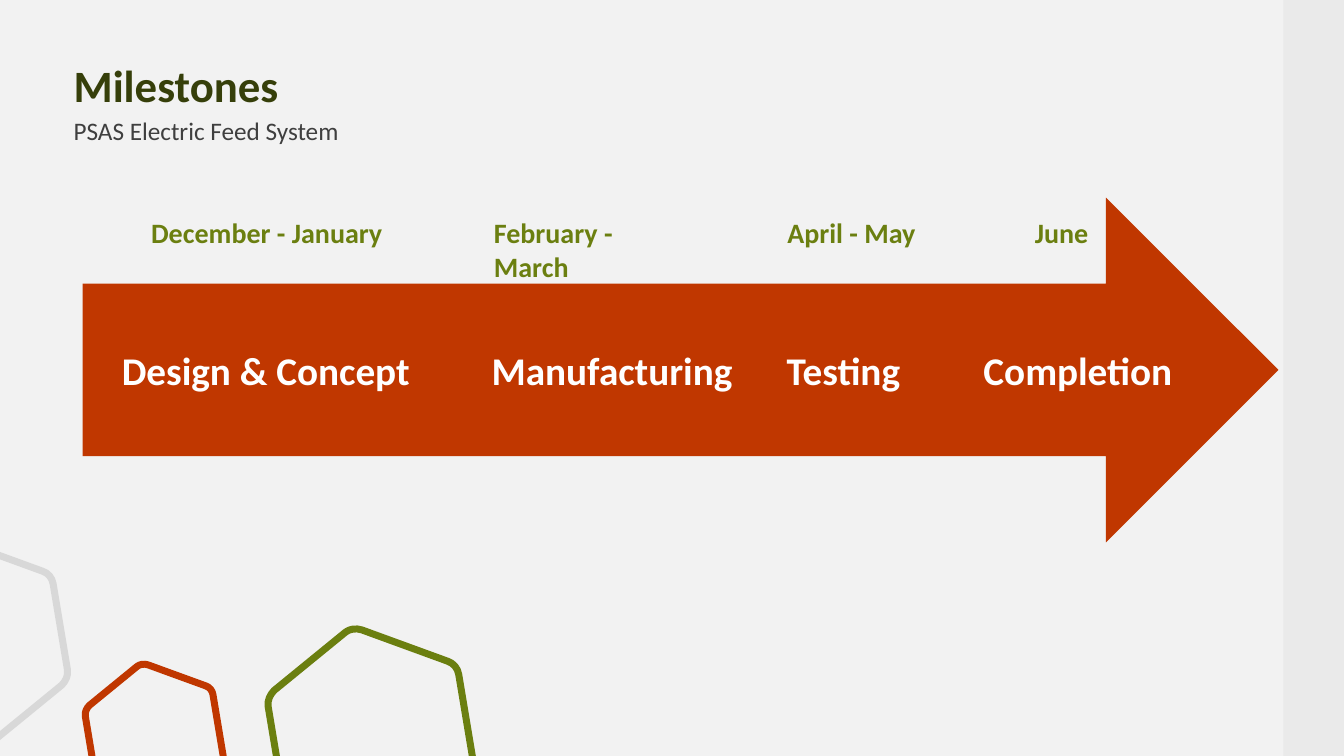
import pptx
import pptx.util
import pptx.dml.color
import pptx.enum.shapes
import pptx.enum.text
import pptx.oxml
import pptx.oxml.ns

Inches = pptx.util.Inches
Pt = pptx.util.Pt
SHAPES = pptx.enum.shapes.MSO_SHAPE
ALIGN = pptx.enum.text.PP_ALIGN
ANCHOR = pptx.enum.text.MSO_ANCHOR

COLORS = {
    "background": "F2F2F2",
    "strip": "EAEAEA",
    "title": "363F0A",
    "subtitle": "3F3F3F",
    "orange": "C03700",
    "green": "6B7F10",
    "gray": "D8D8D8",
    "white": "FFFFFF",
}

PHASES = [
    ("Design & Concept", 0.27, 3.09),
    ("Manufacturing", 3.78, 2.94),
    ("Testing", 6.66, 1.77),
    ("Completion", 8.77, 2.2),
]
MONTHS = [
    ("December - January", 0.58, 2.64, ALIGN.LEFT),
    ("February - March", 3.98, 2.16, ALIGN.LEFT),
    ("April - May", 6.89, 1.69, ALIGN.LEFT),
    ("June", 9.34, 0.74, ALIGN.CENTER),
]
HEXAGONS = [
    (3.68, 7.3, 1, "green"),
    (1.53, 7.3, 0.67, "orange"),
    (-0.3, 6.37, 0.95, "gray"),
]
HALF_CORNERS = [
    (-0.09, -1.05), (-0.15, -1.07), (-0.21, -1.06), (-0.25, -1.03),
    (-0.96, -0.45), (-1, -0.41), (-1.03, -0.35), (-1.02, -0.29),
    (-0.87, 0.61), (-0.86, 0.67), (-0.82, 0.72), (-0.76, 0.74),
]


def color(name):
    return pptx.dml.color.RGBColor.from_string(COLORS[name])


def add_text(page, box, text, size, color_name, bold=True, align=ALIGN.LEFT,
             anchor=ANCHOR.TOP, inset=(0.1, 0.05), spacing=1.0):
    frame = page.shapes.add_textbox(*map(Inches, box)).text_frame
    frame.word_wrap = True
    frame.vertical_anchor = anchor
    frame.margin_left = frame.margin_right = Inches(inset[0])
    frame.margin_top = frame.margin_bottom = Inches(inset[1])
    para = frame.paragraphs[0]
    para.text = text
    para.alignment = align
    para.line_spacing = spacing
    para.font.name = "Calibri"
    para.font.size = Pt(size)
    para.font.bold = bold
    para.font.color.rgb = color(color_name)


def add_filled(page, kind, box, color_name):
    shape = page.shapes.add_shape(kind, *map(Inches, box))
    shape.shadow.inherit = False
    shape.fill.solid()
    shape.fill.fore_color.rgb = color(color_name)
    shape.line.fill.background()


def add_heading(page, left, top):
    add_text(page, (left, top, 5.18, 0.47), "Milestones", 32, "title",
             anchor=ANCHOR.MIDDLE, inset=(0, 0), spacing=0.9)
    add_text(page, (left, top + 0.54, 5.98, 0.39), "PSAS Electric Feed System",
             18, "subtitle", bold=False, inset=(0, 0), spacing=0.9)


def add_timeline(page, left, top, width, height):
    add_filled(page, SHAPES.RIGHT_ARROW, (left, top, width, height), "orange")
    for text, offset, span in PHASES:
        add_text(page, (left + offset, top + 1.43, span, 0.57), text, 28,
                 "white", align=ALIGN.CENTER)
    for text, offset, span, align in MONTHS:
        add_text(page, (left + offset, top + 0.13, span, 0.44), text, 20,
                 "green", align=align)


def round_corners(shape):
    segments = list(shape.element.iter(pptx.oxml.ns.qn("a:lnTo")))
    for start in range(0, len(segments), 4):
        corner = segments[start:start + 3]
        curve = pptx.oxml.parse_xml(
            "<a:cubicBezTo %s/>" % pptx.oxml.ns.nsdecls("a"))
        corner[0].addprevious(curve)
        for segment in corner:
            curve.append(segment[0])
            segment.getparent().remove(segment)


def add_hexagon(page, center_x, center_y, scale, color_name):
    outline = HALF_CORNERS + [(-x, -y) for x, y in HALF_CORNERS]
    points = [(Inches(center_x + x * scale), Inches(center_y + y * scale))
              for x, y in outline]
    builder = page.shapes.build_freeform(*points[0])
    builder.add_line_segments(points[1:], close=True)
    shape = builder.convert_to_shape()
    round_corners(shape)
    shape.shadow.inherit = False
    shape.fill.background()
    shape.line.color.rgb = color(color_name)
    shape.line.width = Pt(5)


def main():
    deck = pptx.Presentation()
    deck.slide_width = Inches(13.33)
    deck.slide_height = Inches(7.5)
    page = deck.slides.add_slide(deck.slide_layouts[6])
    page.background.fill.solid()
    page.background.fill.fore_color.rgb = color("background")
    add_heading(page, 0.73, 0.64)
    add_filled(page, SHAPES.RECTANGLE, (12.73, 0, 0.74, 7.5), "strip")
    add_timeline(page, 0.82, 1.96, 11.86, 3.42)
    for hexagon in HEXAGONS:
        add_hexagon(page, *hexagon)
    deck.save("out.pptx")


if __name__ == "__main__":
    main()
